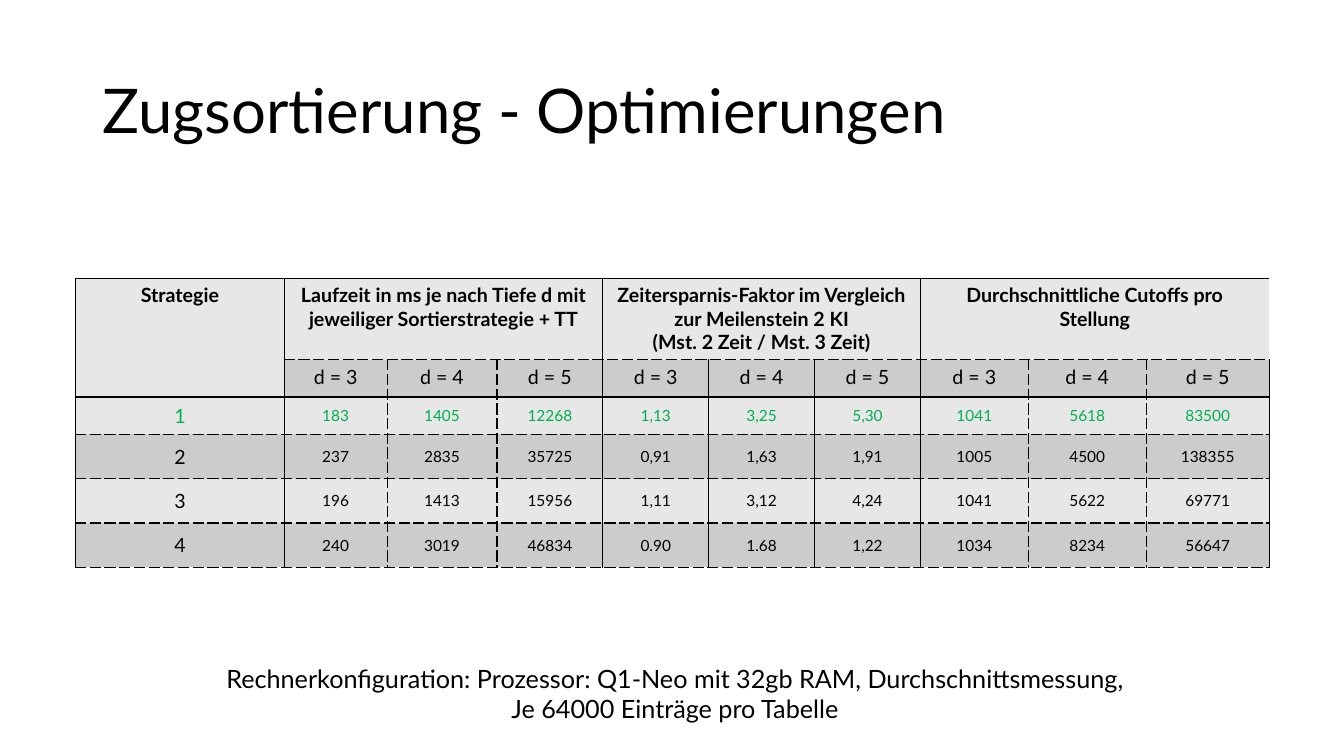
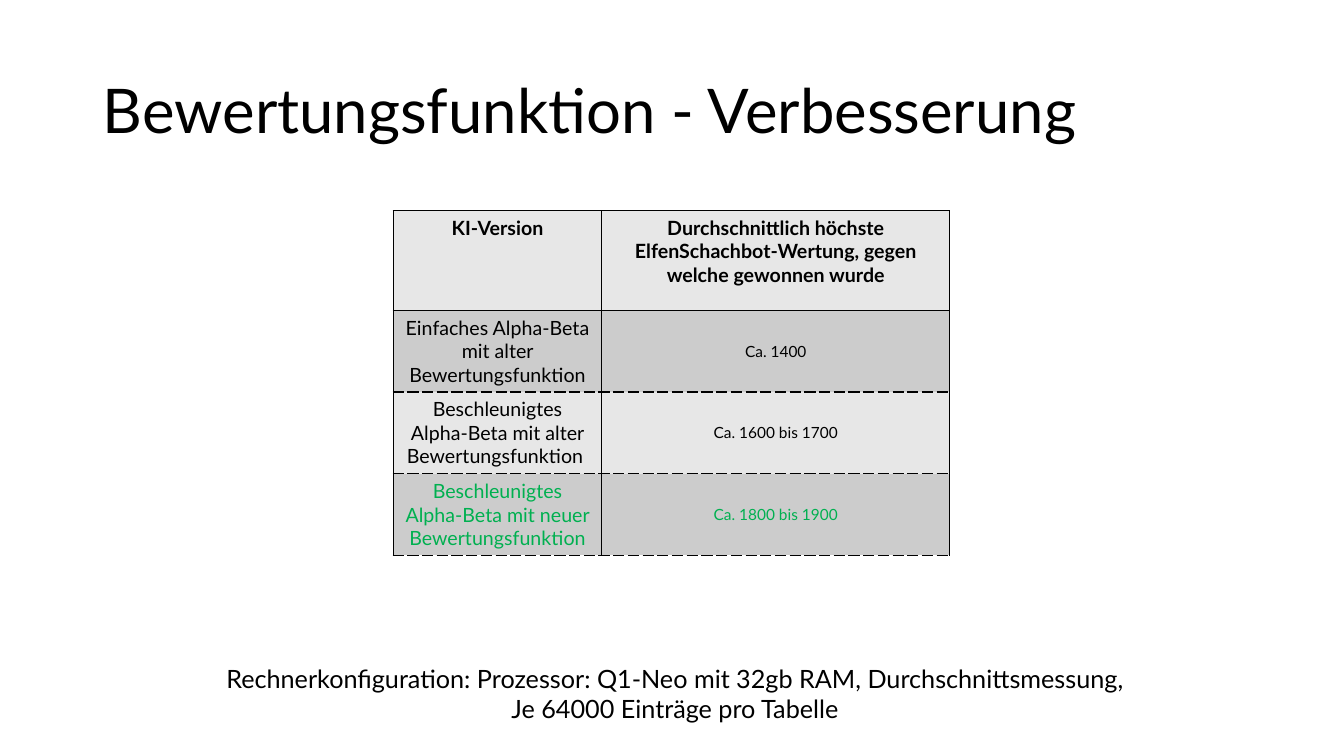
from dataclasses import dataclass
from itertools import product

from lxml.etree import SubElement
from pptx import Presentation
from pptx.dml.color import RGBColor
from pptx.enum.text import MSO_ANCHOR, MSO_AUTO_SIZE, PP_ALIGN
from pptx.oxml.ns import qn
from pptx.slide import Slide
from pptx.table import _Cell
from pptx.text.text import TextFrame
from pptx.util import Inches, Pt

FONT = "Lato"
COLORS = {"text": "000000", "line": "000000", "best": "00B050",
          "light": "E7E7E7", "dark": "CCCCCC"}
FOOTER = ("Rechnerkonfiguration: Prozessor: Q1-Neo mit 32gb RAM, Durchschnittsmessung,\n"
          "Je 64000 Einträge pro Tabelle")


@dataclass(frozen=True)
class Box:
    """Block of cells, given by the grid lines around it."""
    top: int
    left: int
    bottom: int
    right: int


@dataclass(frozen=True)
class ResultTable:
    title: str
    left: float
    top: float
    widths: tuple[float, ...]
    heights: tuple[float, ...]
    rows: tuple[tuple[str, ...], ...]
    header_rows: int
    best_row: int
    merged: tuple[Box, ...] = ()
    dashed_columns: tuple[int, ...] = ()


DEPTHS = ("d = 3", "d = 4", "d = 5")
RESULTS = (
    ResultTable(
        title="Zugsortierung - Optimierungen",
        left=0.75, top=2.76,
        widths=(2.07, 1.02, 1.09, 1.05, 1.05, 1.05, 1.05, 1.07, 1.17, 1.22),
        heights=(0.81, 0.37, 0.37, 0.44, 0.44, 0.44),
        rows=(
            ("Strategie",
             "Laufzeit in ms je nach Tiefe d mit jeweiliger Sortierstrategie + TT", "", "",
             "Zeitersparnis-Faktor im Vergleich zur Meilenstein 2 KI\n"
             "(Mst. 2 Zeit / Mst. 3 Zeit)", "", "",
             "Durchschnittliche Cutoffs pro Stellung", "", ""),
            ("", *DEPTHS * 3),
            ("1", "183", "1405", "12268", "1,13", "3,25", "5,30", "1041", "5618", "83500"),
            ("2", "237", "2835", "35725", "0,91", "1,63", "1,91", "1005", "4500", "138355"),
            ("3", "196", "1413", "15956", "1,11", "3,12", "4,24", "1041", "5622", "69771"),
            ("4", "240", "3019", "46834", "0.90", "1.68", "1,22", "1034", "8234", "56647"),
        ),
        header_rows=2, best_row=2,
        merged=(Box(0, 0, 2, 1), *(Box(0, left, 1, left + 3) for left in (1, 4, 7))),
        dashed_columns=(2, 3, 8, 9),
    ),
    ResultTable(
        title="Bewertungsfunktion - Verbesserung",
        left=3.9, top=2.09,
        widths=(2.07, 3.45),
        heights=(0.99, 0.81, 0.81, 0.81),
        rows=(
            ("KI-Version",
             "Durchschnittlich höchste ElfenSchachbot-Wertung, gegen welche gewonnen wurde"),
            ("Einfaches Alpha-Beta mit alter Bewertungsfunktion", "Ca. 1400"),
            ("Beschleunigtes Alpha-Beta mit alter Bewertungsfunktion ", "Ca. 1600 bis 1700"),
            ("Beschleunigtes Alpha-Beta mit neuer Bewertungsfunktion", "Ca. 1800 bis 1900"),
        ),
        header_rows=1, best_row=3,
    ),
)


def write_text(frame: TextFrame, text: str, size: float, color: str = "text",
               bold: bool = False, align: PP_ALIGN = PP_ALIGN.CENTER) -> None:
    """Write each line of the text as a paragraph of its own."""
    for index, line in enumerate(text.split("\n")):
        paragraph = frame.add_paragraph() if index else frame.paragraphs[0]
        paragraph.alignment = align
        run = paragraph.add_run()
        run.text = line
        run.font.name = FONT
        run.font.size = Pt(size)
        run.font.bold = bold
        run.font.color.rgb = RGBColor.from_string(COLORS[color])


def add_border(cell: _Cell, side: str, dashed: bool) -> None:
    line = SubElement(cell._tc.get_or_add_tcPr(), qn(f"a:ln{side}"), w=str(Pt(1)))
    fill = SubElement(line, qn("a:solidFill"))
    SubElement(fill, qn("a:srgbClr"), val=COLORS["line"])
    SubElement(line, qn("a:prstDash"), val="sysDash" if dashed else "solid")


def add_borders(cell: _Cell, row: int, column: int, result: ResultTable) -> None:
    """Draw the grid lines around a cell, except those inside a merged block."""
    box = next((block for block in result.merged
                if block.top <= row < block.bottom and block.left <= column < block.right),
               Box(row, column, row + 1, column + 1))
    solid_rows = (0, result.header_rows)
    if column == box.left:
        add_border(cell, "L", column in result.dashed_columns)
    if column + 1 == box.right:
        add_border(cell, "R", column + 1 in result.dashed_columns)
    if row == box.top:
        add_border(cell, "T", row not in solid_rows)
    if row + 1 == box.bottom:
        add_border(cell, "B", row + 1 not in solid_rows)


def fill_cell(cell: _Cell, row: int, column: int, result: ResultTable) -> None:
    is_body = row >= result.header_rows
    add_borders(cell, row, column, result)
    cell.fill.solid()
    cell.fill.fore_color.rgb = RGBColor.from_string(COLORS["dark" if row % 2 else "light"])
    cell.margin_left = cell.margin_right = Inches(0.11)
    cell.margin_top = cell.margin_bottom = Inches(0.05)
    cell.vertical_anchor = MSO_ANCHOR.MIDDLE if is_body else MSO_ANCHOR.TOP
    if text := result.rows[row][column]:
        write_text(cell.text_frame, text, 11 if is_body and column else 14,
                   "best" if row == result.best_row else "text", bold=row == 0)


def add_result_table(slide: Slide, result: ResultTable) -> None:
    table = slide.shapes.add_table(
        len(result.heights), len(result.widths), Inches(result.left), Inches(result.top),
        Inches(sum(result.widths)), Inches(sum(result.heights))).table
    table.first_row = table.horz_banding = False
    for column, width in zip(table.columns, result.widths):
        column.width = Inches(width)
    for row, height in zip(table.rows, result.heights):
        row.height = Inches(height)
    for box in result.merged:
        table.cell(box.top, box.left).merge(table.cell(box.bottom - 1, box.right - 1))
    for row, column in product(range(len(result.heights)), range(len(result.widths))):
        fill_cell(table.cell(row, column), row, column, result)


def add_title(slide: Slide, text: str) -> None:
    title = slide.shapes.title
    title.left, title.top = Inches(0.92), Inches(0.4)
    title.width, title.height = Inches(11.5), Inches(1.45)
    frame = title.text_frame
    frame.vertical_anchor = MSO_ANCHOR.MIDDLE
    write_text(frame, text, 44, align=PP_ALIGN.LEFT)
    frame.paragraphs[0].line_spacing = 0.9


def add_footer(slide: Slide) -> None:
    frame = slide.shapes.add_textbox(
        Inches(0.81), Inches(6.53), Inches(11.77), Inches(0.71)).text_frame
    frame.word_wrap = True
    frame.auto_size = MSO_AUTO_SIZE.SHAPE_TO_FIT_TEXT
    write_text(frame, FOOTER, 18)


def main() -> None:
    presentation = Presentation()
    presentation.slide_width, presentation.slide_height = Inches(13.33), Inches(7.5)
    title_only = presentation.slide_layouts.get_by_name("Title Only")
    for result in RESULTS:
        slide = presentation.slides.add_slide(title_only)
        add_title(slide, result.title)
        add_result_table(slide, result)
        add_footer(slide)
    presentation.save("out.pptx")


if __name__ == "__main__":
    main()
